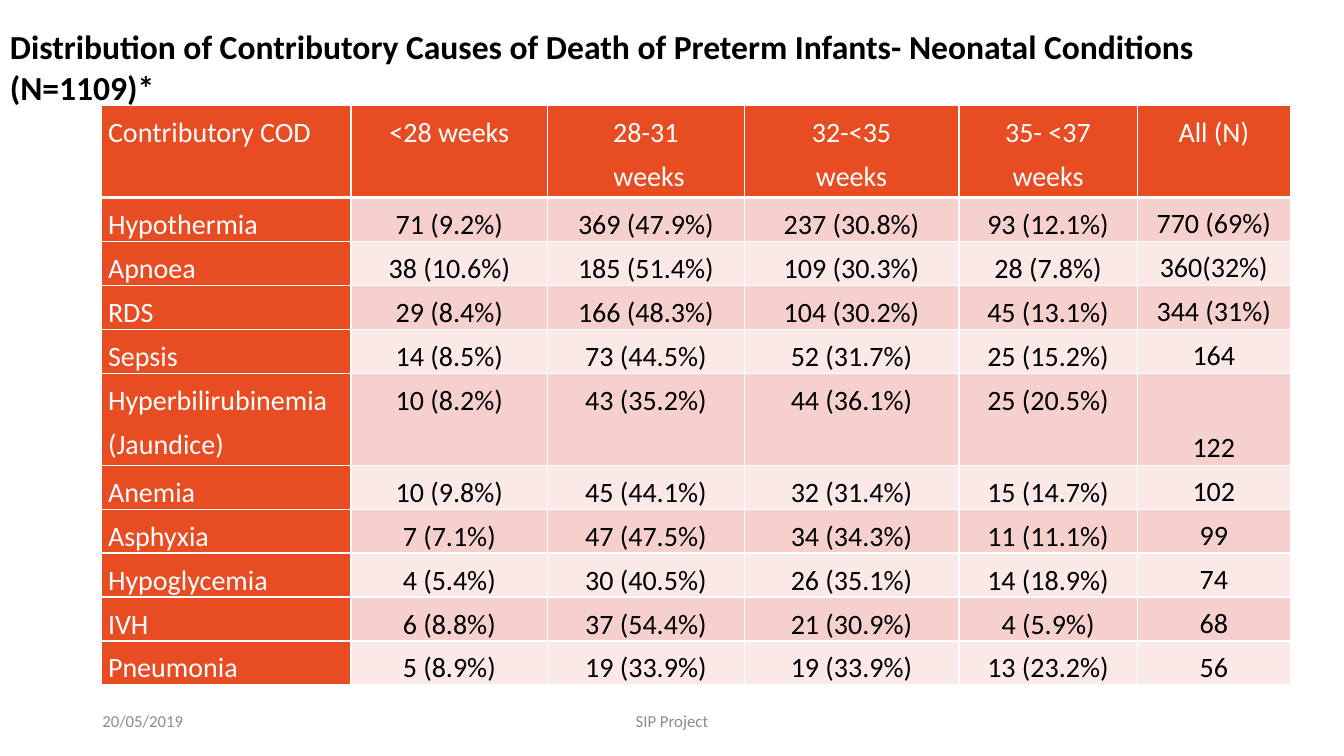
from dataclasses import dataclass

from lxml import etree
from pptx import Presentation
from pptx.dml.color import RGBColor
from pptx.enum.text import MSO_ANCHOR, PP_ALIGN
from pptx.oxml.ns import qn
from pptx.slide import Slide
from pptx.table import _Cell
from pptx.text.text import TextFrame
from pptx.util import Pt

LEFT, CENTER = PP_ALIGN.LEFT, PP_ALIGN.CENTER
TOP, MIDDLE, BOTTOM = MSO_ANCHOR.TOP, MSO_ANCHOR.MIDDLE, MSO_ANCHOR.BOTTOM


@dataclass(frozen=True)
class Theme:
    font: str = "Calibri"
    black: str = "000000"
    white: str = "FFFFFF"
    gray: str = "8C8C8C"
    orange: str = "E84C22"
    bands: tuple[str, str] = ("F6D0CD", "FBE9E8")
    title: float = 24
    body: float = 20
    footer: float = 12


THEME = Theme()


@dataclass(frozen=True)
class Style:
    size: float
    color: str
    align: PP_ALIGN = LEFT
    bold: bool = False
    leading: float = 1
    after: float = 0


@dataclass(frozen=True)
class Label:
    text: str
    left: float
    top: float
    width: float
    height: float
    style: Style
    anchor: MSO_ANCHOR = MIDDLE


LABELS = (
    Label("20/05/2019", 66, 500.5, 216, 28.75, Style(THEME.footer, THEME.gray)),
    Label("SIP Project", 318, 500.5, 324, 28.75, Style(THEME.footer, THEME.gray, CENTER)),
    Label("Distribution of Contributory Causes of Death of Preterm Infants- "
          "Neonatal Conditions (N=1109)*", 0, 15.1, 956, 65.5,
          Style(THEME.title, THEME.black, bold=True), TOP),
)

HEADER = ("Contributory COD", "<28 weeks", "28-31\n weeks", "32-<35\nweeks",
          "35- <37\nweeks", "All (N)")
CAUSES = (
    ("Hypothermia", "71 (9.2%)", "369 (47.9%)", "237 (30.8%)", "93 (12.1%)", "770 (69%)"),
    ("Apnoea", "38 (10.6%)", "185 (51.4%)", "109 (30.3%)", "28 (7.8%)", "360(32%)"),
    ("RDS", "29 (8.4%)", "166 (48.3%)", "104 (30.2%)", "45 (13.1%)", "344 (31%)"),
    ("Sepsis", "14 (8.5%)", "73 (44.5%)", "52 (31.7%)", "25 (15.2%)", "164"),
    ("Hyperbilirubinemia  (Jaundice)", "10 (8.2%)", "43 (35.2%)", "44 (36.1%)",
     "25 (20.5%)", "122"),
    ("Anemia", "10 (9.8%)", "45 (44.1%)", "32 (31.4%)", "15 (14.7%)", "102"),
    ("Asphyxia", "7 (7.1%)", "47 (47.5%)", "34 (34.3%)", "11 (11.1%)", "99"),
    ("Hypoglycemia", "4 (5.4%)", "30 (40.5%)", "26 (35.1%)", "14 (18.9%)", "74"),
    ("IVH", "6 (8.8%)", "37 (54.4%)", "21 (30.9%)", "4 (5.9%)", "68"),
    ("Pneumonia", "5 (8.9%)", "19 (33.9%)", "19 (33.9%)", "13 (23.2%)", "56"),
)
WIDTHS = (178.6, 140.4, 140.4, 153.4, 127.4, 109.4)
ROW, TALL = 31.4, 65.8
TALL_ROWS = (0, 5)


def write(frame: TextFrame, text: str, style: Style) -> None:
    frame.word_wrap = True
    for index, line in enumerate(text.split("\n")):
        para = frame.add_paragraph() if index else frame.paragraphs[0]
        para.alignment = style.align
        para.line_spacing = style.leading
        para.space_after = Pt(style.after)
        run = para.add_run()
        run.text = line
        run.font.name = THEME.font
        run.font.size = Pt(style.size)
        run.font.bold = style.bold
        run.font.color.rgb = RGBColor.from_string(style.color)


def add_label(slide: Slide, label: Label) -> None:
    box = slide.shapes.add_textbox(Pt(label.left), Pt(label.top),
                                   Pt(label.width), Pt(label.height))
    box.text_frame.vertical_anchor = label.anchor
    write(box.text_frame, label.text, label.style)


def add_edges(cell: _Cell, row: int) -> None:
    props = cell._tc.get_or_add_tcPr()
    widths = {"a:lnL": 1, "a:lnR": 1, "a:lnT": 3 if row == 1 else 1,
              "a:lnB": 3 if row == 0 else 1}
    for index, (tag, width) in enumerate(widths.items()):
        line = etree.Element(qn(tag), w=str(Pt(width)))
        fill = etree.SubElement(line, qn("a:solidFill"))
        etree.SubElement(fill, qn("a:srgbClr"), val=THEME.white)
        props.insert(index, line)


def fill_cell(cell: _Cell, row: int, col: int, text: str) -> None:
    accent = row == 0 or col == 0
    total = row > 0 and col == len(WIDTHS) - 1
    cell.margin_left = cell.margin_right = Pt(5)
    cell.margin_top = cell.margin_bottom = Pt(0)
    cell.vertical_anchor = BOTTOM if total else TOP
    cell.fill.solid()
    color = THEME.orange if accent else THEME.bands[(row - 1) % 2]
    cell.fill.fore_color.rgb = RGBColor.from_string(color)
    add_edges(cell, row)
    write(cell.text_frame, text, Style(
        THEME.body, THEME.white if accent else THEME.black,
        CENTER if col else LEFT,
        leading=1.15 if total else 1.3, after=10 if total else 0))


def add_causes(slide: Slide) -> None:
    rows = (HEADER, *CAUSES)
    heights = [TALL if row in TALL_ROWS else ROW for row in range(len(rows))]
    table = slide.shapes.add_table(len(rows), len(WIDTHS), Pt(72.2), Pt(75.2),
                                   Pt(sum(WIDTHS)), Pt(sum(heights))).table
    table.horz_banding = False
    for col, width in enumerate(WIDTHS):
        table.columns[col].width = Pt(width)
    for row, texts in enumerate(rows):
        table.rows[row].height = Pt(heights[row])
        for col, text in enumerate(texts):
            fill_cell(table.cell(row, col), row, col, text)


def main() -> None:
    deck = Presentation()
    deck.slide_width, deck.slide_height = Pt(960), Pt(540)
    slide = deck.slides.add_slide(deck.slide_layouts[6])
    for label in LABELS:
        add_label(slide, label)
    add_causes(slide)
    deck.save("out.pptx")


if __name__ == "__main__":
    main()
